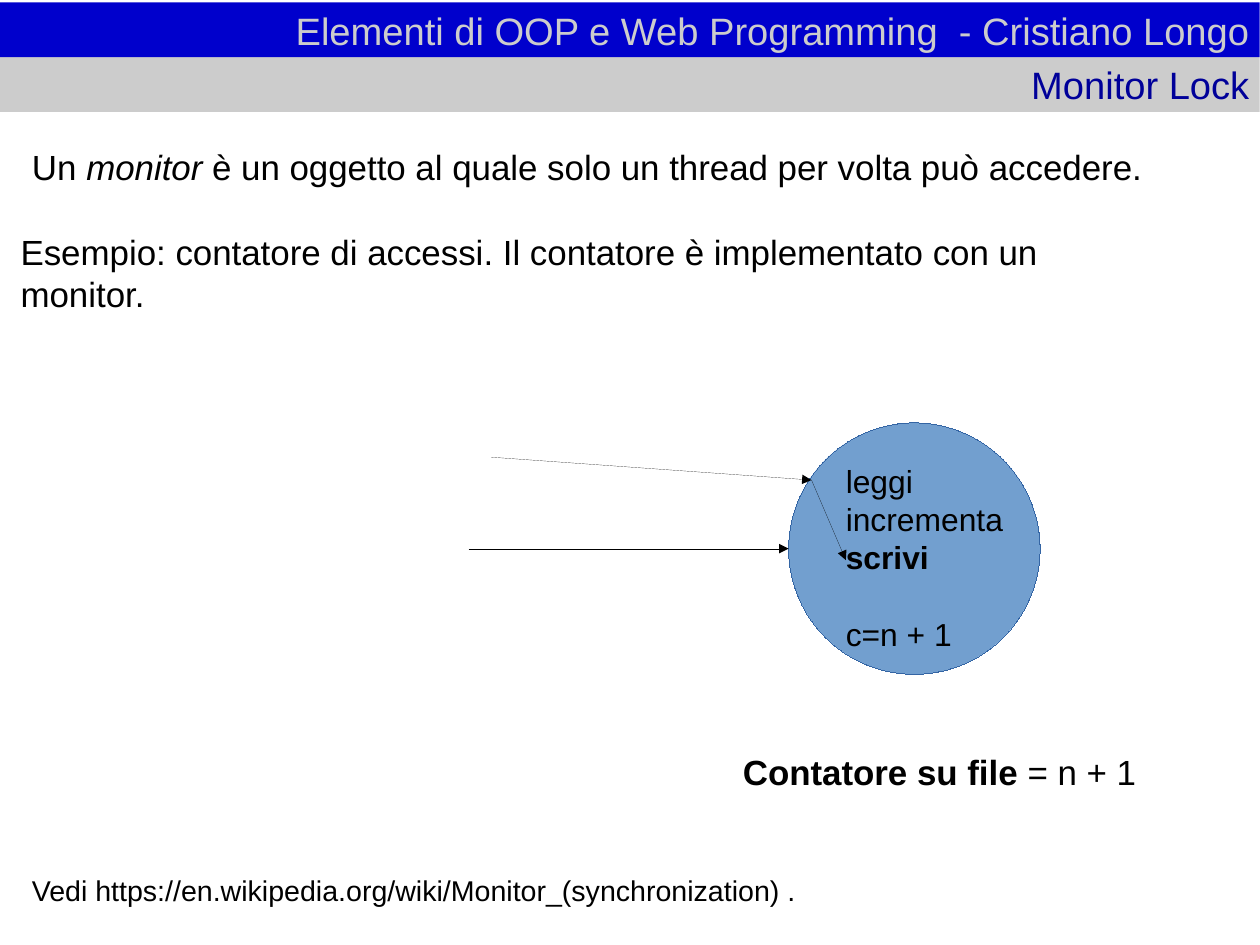
from dataclasses import dataclass
from lxml import etree
from pptx import Presentation, util as u
from pptx.dml.color import RGBColor
from pptx.enum import shapes, text
from pptx.oxml import ns

IN = u.Inches


@dataclass(frozen=True)
class Theme:
    font: str = "Arial"
    ink: str = "000000"
    blue: str = "0000CC"
    gray: str = "CCCCCC"
    navy: str = "000099"
    disc: str = "729FCF"
    rim: str = "3465A4"
    head: int = 24
    body: int = 22
    step: int = 20
    note: int = 18


T = Theme()
MID, TOP = text.MSO_ANCHOR.MIDDLE, text.MSO_ANCHOR.TOP


def rgb(code):
    return RGBColor.from_string(code)


def write(shape, lines, size, color=T.ink, anchor=MID, pad=(0, 0, 0, 0)):
    """Each line is a list of (words, style) runs; style is '', 'b' or 'i'."""
    frame = shape.text_frame
    frame.word_wrap = True
    frame.auto_size = text.MSO_AUTO_SIZE.NONE
    frame.vertical_anchor = anchor
    (frame.margin_left, frame.margin_top,
     frame.margin_right, frame.margin_bottom) = map(IN, pad)
    for i, line in enumerate(lines):
        para = frame.add_paragraph() if i else frame.paragraphs[0]
        para.font.name, para.font.size = T.font, u.Pt(size)
        para.font.color.rgb = rgb(color)
        for words, style in line:
            run = para.add_run()
            run.text = words
            if style:
                run.font.bold, run.font.italic = style == "b", style == "i"
    return frame.paragraphs


def label(slide, box, lines, size, **opts):
    return write(slide.shapes.add_textbox(*map(IN, box)), lines, size, **opts)


def hairline(shape, color):
    # A width of 0 has to be written out, or the style's width applies
    shape.line.color.rgb = rgb(color)
    edge = shape.line._get_or_add_ln()
    edge.set("w", "0")
    return edge


def band(shape, words, fill, color):
    shape.fill.solid()
    shape.fill.fore_color.rgb = rgb(fill)
    para = write(shape, [[(words, "")]], T.head, color, pad=(0, 0, 0.09, 0))[0]
    para.alignment = text.PP_ALIGN.RIGHT


def header(slide, x, y, w, h):
    # Course band above, slide title below
    course = slide.shapes.add_shape(shapes.MSO_SHAPE.RECTANGLE, *map(IN, (x, y, w, h)))
    course.shadow.inherit = False
    course.line.fill.background()
    band(course, "Elementi di OOP e Web Programming  - Cristiano Longo", T.blue, T.gray)
    title = slide.shapes.title
    title.left, title.top, title.width, title.height = map(IN, (x, y + h, w, h))
    band(title, "Monitor Lock", T.gray, T.navy)


def intro(slide, x, y, w):
    # Definition and example
    label(slide, (x + 0.1, y, w, 1.09),
          [[("Un ", ""), ("monitor ", "i"),
            ("è un oggetto al quale solo un thread per volta può accedere.", "")]], T.body)
    label(slide, (x, y + 1.11, w, 1.37),
          [[("Esempio: contatore di accessi. Il contatore è implementato con un monitor.", "")]],
          T.body, anchor=TOP)


def arrow(slide, start, end):
    link = slide.shapes.add_connector(
        shapes.MSO_CONNECTOR.STRAIGHT, *map(IN, (*start, *end)))
    etree.SubElement(hairline(link, T.ink), ns.qn("a:tailEnd"), type="triangle")
    etree.SubElement(link._element.spPr, ns.qn("a:effectLst"))


def monitor(slide, x, y, d):
    # Shared counter
    disc = slide.shapes.add_shape(shapes.MSO_SHAPE.OVAL, *map(IN, (x, y, d, d)))
    disc.shadow.inherit = False
    disc.fill.solid()
    disc.fill.fore_color.rgb = rgb(T.disc)
    hairline(disc, T.rim)
    steps = [("leggi", ""), ("incrementa", ""), ("scrivi", "b"), ("c=n + 1", "")]
    paras = label(slide, (x + 0.5, y + 0.4, 1.9, 1.55), [[s] for s in steps], T.step)
    paras[-1].space_before = u.Pt(24)
    label(slide, (x - 0.4, y + 2.7, 4.13, 0.7),
          [[("Contatore su file", "b"), (" = n + 1", "")]], T.body)
    # Threads reaching the monitor
    gate = (x + 0.2, y + 0.5)
    arrow(slide, (x - 2.6, y + 0.3), gate)
    arrow(slide, gate, (x + 0.5, y + 1.2))
    arrow(slide, (x - 2.8, y + 1.1), (x, y + 1.1))


def source(slide, x, y, w, h):
    # Reference
    label(slide, (x, y, w, h),
          [[("Vedi https://en.wikipedia.org/wiki/Monitor_(synchronization) .", "")]],
          T.note, anchor=TOP, pad=(0.1, 0.05, 0.1, 0.05))


def main():
    deck = Presentation()
    deck.slide_width, deck.slide_height = u.Cm(28), u.Cm(21)
    slide = deck.slides.add_slide(deck.slide_layouts[5])
    header(slide, 0, 0.02, 11.02, 0.48)
    intro(slide, 0.18, 0.91, 9.92)
    monitor(slide, 6.9, 3.7, 2.2)
    source(slide, 0.18, 7.59, 9.02, 0.6)
    deck.save("out.pptx")


if __name__ == "__main__":
    main()
